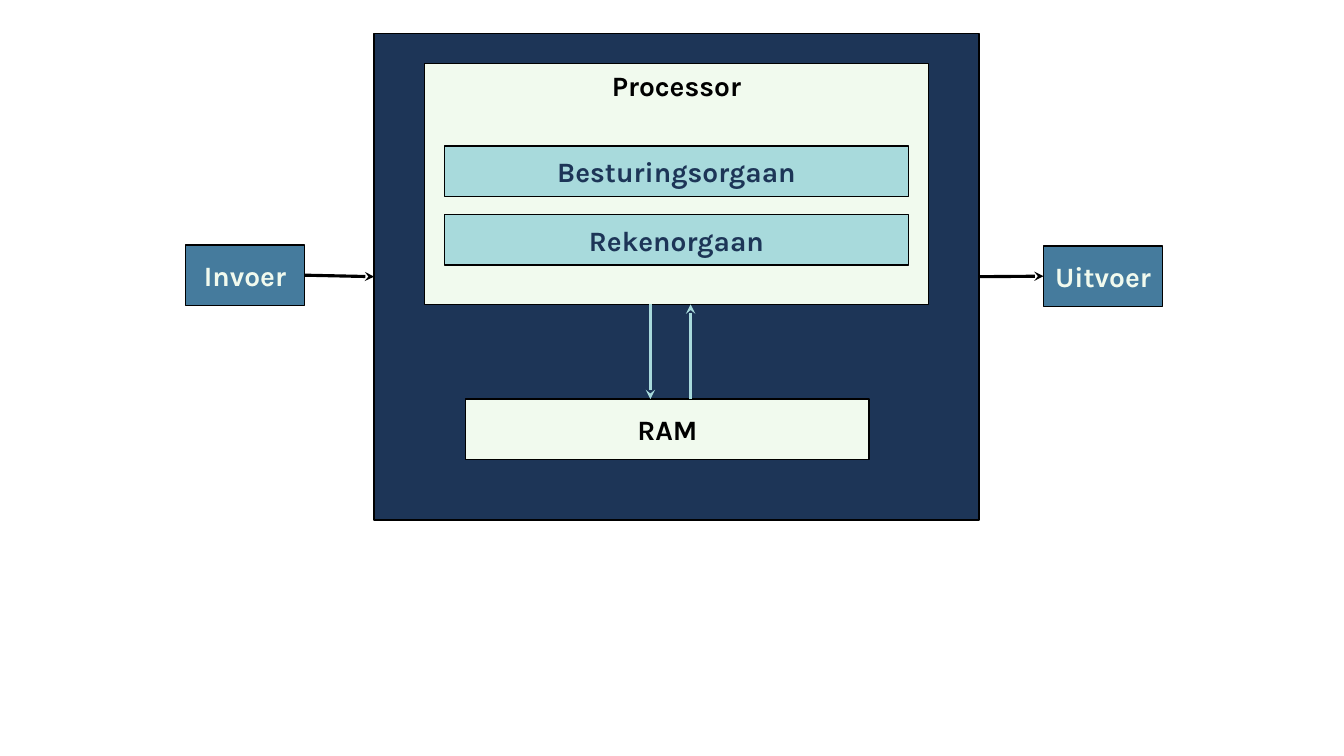
from collections import namedtuple

from lxml import etree
from pptx import Presentation
from pptx.dml.color import RGBColor
from pptx.enum.shapes import MSO_CONNECTOR as Connector, MSO_SHAPE as Shape
from pptx.enum.text import MSO_ANCHOR as Anchor, PP_ALIGN as Align
from pptx.oxml.ns import qn
from pptx.util import Pt

PX = 9144  # 100 px to the inch
NAVY = RGBColor(0x1D, 0x35, 0x57)
STEEL = RGBColor(0x45, 0x7B, 0x9D)
AQUA = RGBColor(0xA8, 0xDA, 0xDC)
MINT = RGBColor(0xF1, 0xFA, 0xEE)
BLACK = RGBColor(0, 0, 0)
TOP, LEFT, BOTTOM, RIGHT = range(4)

Box = namedtuple("Box", "left top width height")


def add_block(page, box, fill, label="", color=BLACK, anchor=Anchor.MIDDLE):
    block = page.shapes.add_shape(Shape.RECTANGLE, *(PX * side for side in box))
    block.shadow.inherit = False
    block.fill.solid()
    block.fill.fore_color.rgb = fill
    block.line.color.rgb = BLACK
    block.line.width = Pt(1)
    if label:
        frame = block.text_frame
        frame_format = {"word_wrap": True, "vertical_anchor": anchor,
                        "margin_left": 0, "margin_right": 0}
        for name, value in frame_format.items():
            setattr(frame, name, value)
        para = frame.paragraphs[0]
        para.alignment = Align.CENTER
        span = para.add_run()
        span.text = label
        for name, value in {"name": "Karla", "size": Pt(20), "bold": True}.items():
            setattr(span.font, name, value)
        span.font.color.rgb = color
    return block


def add_arrow(page, start, end, color):
    arrow = page.shapes.add_connector(
        Connector.STRAIGHT, *(PX * value for value in (*start, *end)))
    arrow.line.color.rgb = color
    arrow.line.width = Pt(2.25)
    etree.SubElement(arrow.line._get_or_add_ln(), qn("a:tailEnd"), type="stealth")
    etree.SubElement(arrow._element.spPr, qn("a:effectLst"))
    return arrow


def join_blocks(page, source, target):
    """Draw an arrow from the right side of source to the left side of target."""
    arrow = add_arrow(page, (0, 0), (0, 0), BLACK)
    arrow.begin_connect(source, RIGHT)
    arrow.end_connect(target, LEFT)


def add_processor(page, box):
    add_block(page, box, MINT, "Processor", anchor=Anchor.TOP)
    for row, label in enumerate(("Besturingsorgaan", "Rekenorgaan")):
        unit = Box(box.left + 20, box.top + 82 + 68 * row, box.width - 40, 50)
        add_block(page, unit, AQUA, label, NAVY)


def add_computer(page, box):
    computer = add_block(page, box, NAVY)
    processor = Box(box.left + 50, box.top + 30, box.width - 100, 239)
    memory = Box(box.left + 91, box.top + 363, 400, 60)
    add_processor(page, processor)
    add_block(page, memory, MINT, "RAM")
    processor_bottom = processor.top + processor.height
    down, up = box.left + 274, box.left + 314
    add_arrow(page, (down, processor_bottom), (down, memory.top), AQUA)
    add_arrow(page, (up, memory.top), (up, processor_bottom), AQUA)
    return computer


def add_computer_model(page, box):
    computer = add_computer(page, Box(box.left + 187, box.top, 600, box.height))
    port_width, port_height = 118, 60
    source = add_block(page, Box(box.left, box.top + 210, port_width, port_height),
                       STEEL, "Invoer", MINT)
    target = add_block(page, Box(box.left + box.width - port_width, box.top + 211,
                                 port_width, port_height), STEEL, "Uitvoer", MINT)
    join_blocks(page, source, computer)
    join_blocks(page, computer, target)


def main():
    deck = Presentation()
    deck.slide_width, deck.slide_height = 1333 * PX, 750 * PX
    page = deck.slides.add_slide(deck.slide_layouts[6])
    add_computer_model(page, Box(184, 33, 969, 483))
    deck.save("out.pptx")


if __name__ == "__main__":
    main()
